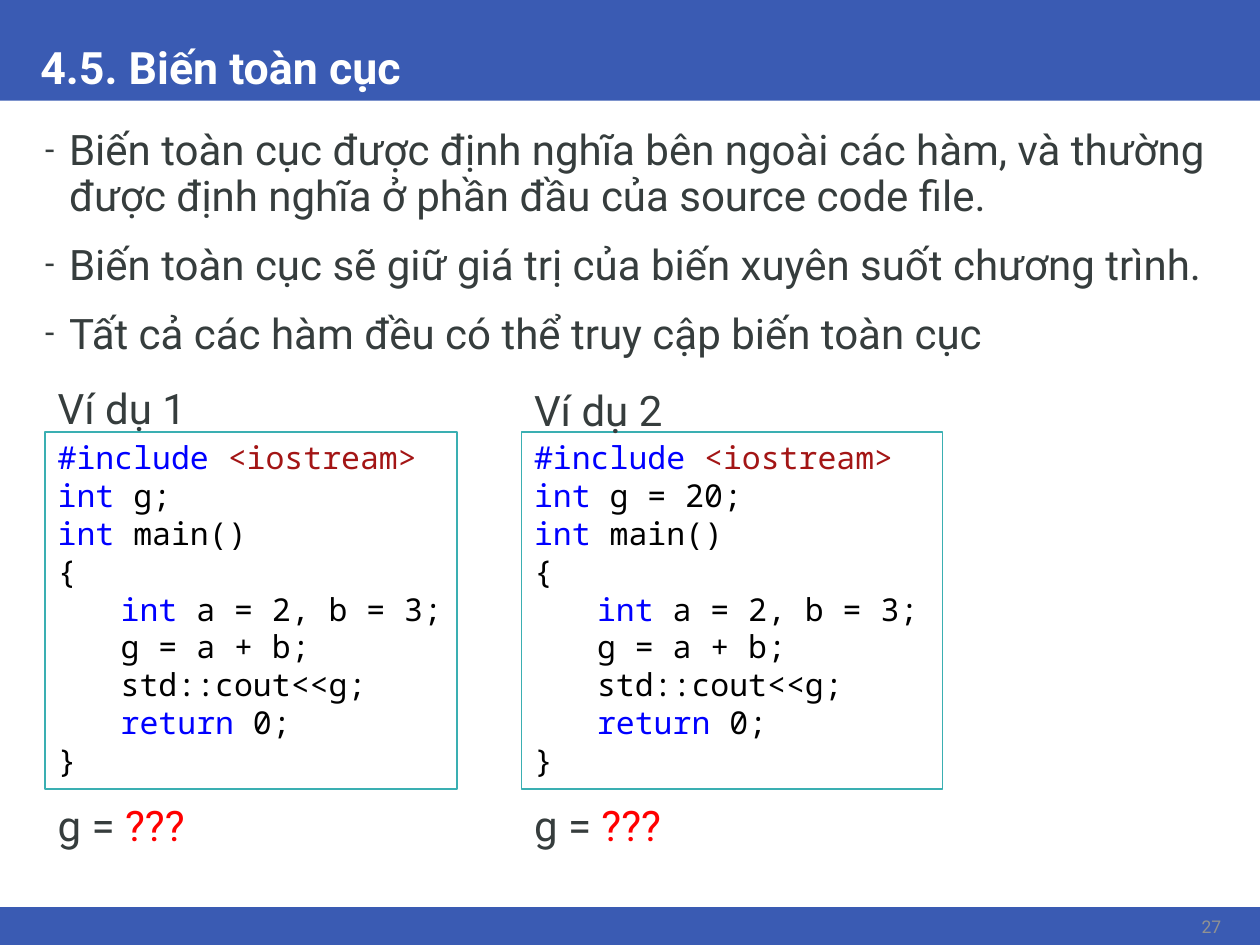
from pptx import Presentation
from pptx.dml.color import RGBColor
from pptx.enum.shapes import MSO_SHAPE as Shape
from pptx.enum.text import MSO_ANCHOR as Anchor, MSO_AUTO_SIZE as Fit, PP_ALIGN as Align
from pptx.oxml.ns import qn
from pptx.util import Inches, Pt

BLUE, TEAL, WHITE = "3A5BB3", "3AAFB2", "FFFFFF"
INK, GREY, RED = "363D3D", "919292", "FF0000"
KEY, HEAD, BLACK = "0000FF", "A31515", "000000"
SANS, MONO = "Roboto", "Noto Sans Mono"

TITLE = "4.5. Biến toàn cục"
POINTS = [
    "Biến toàn cục được định nghĩa bên ngoài các hàm, và thường được định nghĩa ở phần đầu của source code file.",
    "Biến toàn cục sẽ giữ giá trị của biến xuyên suốt chương trình.",
    "Tất cả các hàm đều có thể truy cập biến toàn cục",
]
PAGE = "27"
BARS = [(0, 0.8), (7.2, 0.3)]
RESULT = [("g = ", INK), ("???", RED)]
DEMOS = [
    ("Ví dụ 1", " g;", 0.36, 2.99, 3.27),
    ("Ví dụ 2", " g = 20;", 4.14, 3, 3.34),
]


def code(decl):
    """Return the program lines as (level, runs) for one global declaration."""
    return [
        (0, [("#include ", KEY), ("<iostream>", HEAD)]),
        (0, [("int", KEY), (decl, BLACK)]),
        (0, [("int", KEY), (" main()", BLACK)]),
        (0, [("{", BLACK)]),
        (1, [("int", KEY), (" a = 2, b = 3;", BLACK)]),
        (1, [("g = a + b;", BLACK)]),
        (1, [("std::cout<<g;", BLACK)]),
        (1, [("return", KEY), (" 0;", BLACK)]),
        (0, [("}", BLACK)]),
    ]


def rgb(hue):
    """Turn a hex string into a colour."""
    return RGBColor.from_string(hue)


def write(para, runs, size, font=SANS, bold=False):
    """Add coloured runs to a paragraph."""
    for text, hue in runs:
        run = para.add_run()
        run.text = text
        run.font.size = Pt(size)
        run.font.name = font
        run.font.bold = bold
        run.font.color.rgb = rgb(hue)


def indent(para, left, first=0):
    """Set the left margin and first-line indent of a paragraph."""
    props = para._p.get_or_add_pPr()
    props.set("marL", str(Inches(left)))
    props.set("indent", str(Inches(first)))
    return props


def paras(frame, count):
    """Return the first paragraph of a frame and enough new ones."""
    return [frame.paragraphs[0]] + [frame.add_paragraph() for _ in range(count - 1)]


def rect(slide, at, fill, line=None):
    """Add a flat rectangle."""
    box = slide.shapes.add_shape(Shape.RECTANGLE, *map(Inches, at))
    box.shadow.inherit = False
    box.fill.solid()
    box.fill.fore_color.rgb = rgb(fill)
    if line:
        box.line.color.rgb = rgb(line)
        box.line.width = Pt(1)
    else:
        box.line.fill.background()
    return box


def label(slide, at, runs, size=24):
    """Add a wrapping text box with one paragraph."""
    frame = slide.shapes.add_textbox(*map(Inches, at)).text_frame
    frame.word_wrap = True
    write(frame.paragraphs[0], runs, size)
    return frame


def head(slide):
    """Place the bars and the title over them."""
    tree = slide.shapes._spTree
    for spot, (top, high) in enumerate(BARS, 2):
        tree.insert(spot, rect(slide, (0, top, 10, high), BLUE)._element)
    title = slide.shapes.title
    title.left, title.top, title.width, title.height = map(Inches, (0.22, 0, 9.57, 0.8))
    frame = title.text_frame
    frame.auto_size = Fit.NONE
    frame.vertical_anchor = Anchor.BOTTOM
    para = frame.paragraphs[0]
    para.alignment = Align.LEFT
    para.line_spacing = 0.9
    write(para, [(TITLE, WHITE)], 25.5, bold=True)


def bullets(slide):
    """Add the dashed list."""
    frame = slide.shapes.add_textbox(*map(Inches, (0.22, 0.98, 9.57, 6.05))).text_frame
    frame.word_wrap = True
    for para, text in zip(paras(frame, len(POINTS)), POINTS):
        para.line_spacing = 0.9
        para.space_before = Pt(13.5)
        props = indent(para, 0.23, -0.19)
        for tag, key, val in (("a:buSzPct", "val", "80000"), ("a:buFont", "typeface", SANS),
                              ("a:buChar", "char", "-")):
            props.makeelement(qn(tag), {key: val})
            props.append(props.makeelement(qn(tag), {key: val}))
        write(para, [(text, INK)], 24)


def demo(slide, name, decl, left, top, wide):
    """Add one example: caption, program and result."""
    box = rect(slide, (left, 3.43, wide, 2.83), WHITE, TEAL)
    frame = box.text_frame
    frame.word_wrap = True
    frame.vertical_anchor = Anchor.TOP
    lines = code(decl)
    for para, (level, runs) in zip(paras(frame, len(lines)), lines):
        para.alignment = Align.LEFT
        para.level = level
        indent(para, level * 0.5)
        write(para, runs, 18, MONO)
    label(slide, (left, top, 2.96, 0.5), [(name, INK)])
    label(slide, (left, 6.3, 2.96, 0.5), RESULT)


def main():
    """Build and save the slide."""
    deck = Presentation()
    deck.slide_width, deck.slide_height = Inches(10), Inches(7.5)
    slide = deck.slides.add_slide(deck.slide_layouts[5])
    head(slide)
    bullets(slide)
    page = label(slide, (9.26, 7.22, 0.53, 0.26), [(PAGE, GREY)], 10)
    page.vertical_anchor = Anchor.MIDDLE
    page.paragraphs[0].alignment = Align.RIGHT
    for item in DEMOS:
        demo(slide, *item)
    deck.save("out.pptx")


if __name__ == "__main__":
    main()
